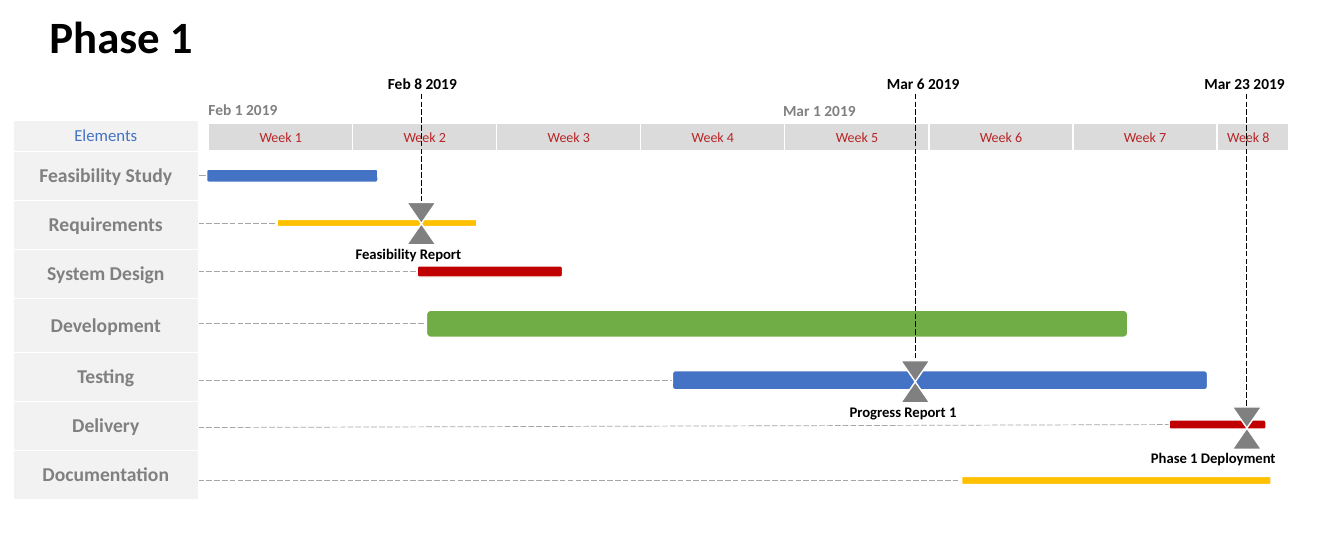
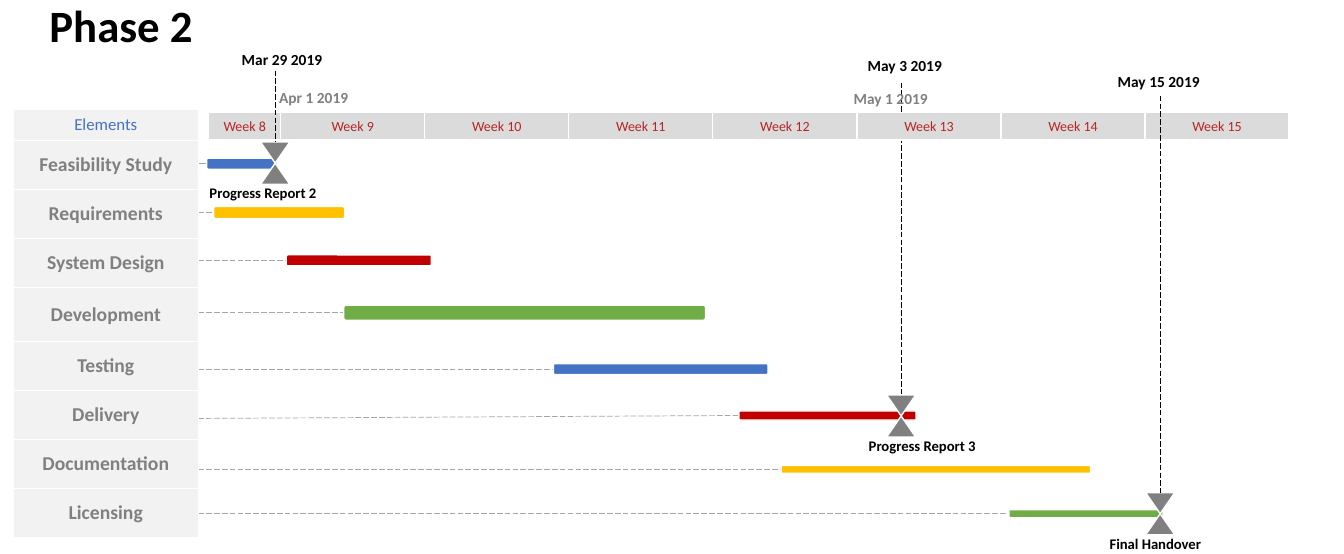
from pptx import Presentation
from pptx.dml.color import RGBColor
from pptx.enum.dml import MSO_LINE
from pptx.enum.shapes import MSO_CONNECTOR, MSO_SHAPE
from pptx.enum.text import MSO_ANCHOR, MSO_AUTO_SIZE, PP_ALIGN
from pptx.oxml import parse_xml
from pptx.oxml.ns import nsdecls
from pptx.util import Inches, Pt

BLUE, GOLD, RED, GREEN = "4472C4", "FFC000", "C00000", "70AD47"
GREY, BLACK, WHITE = "808080", "000000", "FFFFFF"
WEEK = 10.72 / 7.5
ROW = 35 / 72
SYMBOL_W, SYMBOL_H = 0.29, 0.42

ROWS = [
    ("Feasibility Study", ROW, 0, BLUE),
    ("Requirements", ROW, 0, GOLD),
    ("System Design", ROW, 0, RED),
    ("Development", 0.54, 0, GREEN),
    ("Testing", ROW, 0, BLUE),
    ("Delivery", ROW, 0.03, RED),
    ("Documentation", ROW, 0, GOLD),
    ("Licensing", ROW, 0, GREEN),
]

PHASES = [
    {
        "title": "Phase 1", "top": 1.20, "weeks": range(1, 9), "short": 8,
        "bars": [(2.05, 1.68, 1.70, 0.13), (2.75, 2.18, 1.98, 0.07),
                 (4.14, 2.64, 1.44, 0.11), (4.23, 3.08, 6.96, 0.27),
                 (6.67, 3.68, 5.31, 0.19), (11.60, 4.17, 0.96, 0.09),
                 (9.54, 4.73, 3.07, 0.08)],
        "months": [("Feb 1 2019", 1.97, 0.94), ("Mar 1 2019", 7.67, 0.95)],
        "milestones": [
            ("Feb 8 2019", 3.75, 0.69, "Feasibility Report", 3.43, 1.29, 4.18, 0.93, 2.01, False),
            ("Mar 6 2019", 8.70, 0.69, "Progress Report 1", 8.33, 1.29, 9.08, 0.93, 3.58, False),
            ("Mar 23 2019", 11.85, 0.69, "Phase 1 Deployment", 11.32, 1.49, 12.37, 0.93, 4.04, False)],
    },
    {
        "title": "Phase 2", "top": 1.09, "weeks": range(8, 16), "short": 8,
        "bars": [(2.05, 1.57, 0.70, 0.11), (2.12, 2.05, 1.30, 0.12),
                 (2.84, 2.53, 1.44, 0.11), (3.41, 3.03, 3.59, 0.15),
                 (5.49, 3.61, 2.13, 0.11), (7.33, 4.08, 1.76, 0.09),
                 (7.75, 4.62, 3.07, 0.08), (10.01, 5.06, 1.53, 0.08)],
        "months": [("Apr 1 2019", 2.67, 0.83), ("May 1 2019", 8.37, 0.84)],
        "milestones": [
            ("Mar 29 2019", 2.30, 0.45, "Progress Report 2", 1.98, 1.29, 2.73, 0.70, 1.41, False),
            ("May 3 2019", 8.51, 0.51, "Progress Report 3", 8.52, 1.29, 8.94, 0.82, 3.92, True),
            ("May 15 2019", 10.99, 0.67, "Final Handover", 10.91, 1.20, 11.51, 0.95, 4.89, False)],
    },
]


def rgb(value):
    return RGBColor.from_string(value)


class Gantt:
    font = "Calibri"

    def __init__(self, prs):
        self.prs = prs
        self.s = None

    def format(self, p, size, color, bold=True, align=PP_ALIGN.LEFT):
        p.alignment = align
        for r in p.runs:
            r.font.name = self.font
            r.font.size = Pt(size)
            r.font.bold = bold
            r.font.color.rgb = rgb(color)

    def new_slide(self, title, y):
        self.s = self.prs.slides.add_slide(self.prs.slide_layouts[5])
        sp = self.s.shapes.title
        sp.left, sp.top, sp.width, sp.height = map(Inches, (0.39, y, 1.97, 0.61))
        tf = sp.text_frame
        tf.text = title
        tf.auto_size = MSO_AUTO_SIZE.NONE
        tf.vertical_anchor = MSO_ANCHOR.MIDDLE
        p = tf.paragraphs[0]
        p.line_spacing = 0.9
        p.space_before = Pt(10)
        self.format(p, 32, BLACK)

    def text(self, text, x, y, w, size, color):
        sp = self.s.shapes.add_textbox(Inches(x), Inches(y), Inches(w), Inches(0.29))
        tf = sp.text_frame
        tf.word_wrap = True
        tf.text = text
        self.format(tf.paragraphs[0], size, color)

    def line(self, x1, y1, x2, y2, color, dashed=True):
        c = self.s.shapes.add_connector(
            MSO_CONNECTOR.STRAIGHT, Inches(x1), Inches(y1), Inches(x2), Inches(y2))
        c.line.color.rgb = rgb(color)
        c.line.width = Pt(0.5)
        if dashed:
            c.line.dash_style = MSO_LINE.LONG_DASH
        c._element.spPr.append(parse_xml(f"<a:effectLst {nsdecls('a')}/>"))

    def shape(self, kind, x, y, w, h, color):
        sp = self.s.shapes.add_shape(kind, Inches(x), Inches(y), Inches(w), Inches(h))
        sp.shadow.inherit = False
        sp.fill.solid()
        sp.fill.fore_color.rgb = rgb(color)
        sp.line.color.rgb = rgb(WHITE)
        sp.line.width = Pt(1)

    def table(self, x, y, widths, heights):
        frame = self.s.shapes.add_table(
            len(heights), len(widths), Inches(x), Inches(y),
            Inches(sum(widths)), Inches(sum(heights)))
        table = frame.table
        for column, width in zip(table.columns, widths):
            column.width = Inches(width)
        for row, height in zip(table.rows, heights):
            row.height = Inches(height)
        return table

    def cell(self, cell, text, size, color, fill, bold=False,
             anchor=MSO_ANCHOR.TOP, align=PP_ALIGN.CENTER):
        cell.text = text
        cell.fill.solid()
        cell.fill.fore_color.rgb = rgb(fill)
        cell.vertical_anchor = anchor
        self.format(cell.text_frame.paragraphs[0], size, color, bold, align)

    def weeks(self, top, weeks, short):
        widths = [WEEK / 2 if week == short else WEEK for week in weeks]
        table = self.table(2.07, top + 0.03, widths, [0.27])
        for i, week in enumerate(weeks):
            align = PP_ALIGN.LEFT if i and week == short else PP_ALIGN.CENTER
            self.cell(table.cell(0, i), f"Week {week}", 10, "B62525", "DBDBDB", align=align)

    def elements(self, top, rows):
        table = self.table(0.13, top, [1.84], [0.3] + [row[1] for row in rows])
        self.cell(table.cell(0, 0), "Elements", 12, BLUE, "F2F2F2")
        for i, row in enumerate(rows, 1):
            self.cell(table.cell(i, 0), row[0], 14, GREY, "F2F2F2", True, MSO_ANCHOR.MIDDLE)

    def milestone(self, date, date_x, date_y, label, label_x, label_w, x, line_y, y, behind):
        self.shape(MSO_SHAPE.FLOWCHART_COLLATE, x - SYMBOL_W / 2, y, SYMBOL_W, SYMBOL_H, GREY)
        self.text(label, label_x, y + 0.37, label_w, 10.5, BLACK)
        if not behind:
            self.line(x, line_y, x, y, BLACK)
        self.text(date, date_x, date_y, 1.06, 11, BLACK)

    def phase(self, title, top, weeks, short, bars, months, milestones):
        self.new_slide(title, top - 1.12)
        rows = ROWS[:len(bars)]
        for *_, x, line_y, y, behind in milestones:
            if behind:
                self.line(x, line_y, x, y, BLACK)
        for i, ((_, _, drop, _), (x, y, _, h)) in enumerate(zip(rows, bars)):
            middle = y + h / 2
            self.line(1.89, middle + drop, x, middle, "A6A6A6", i > 0)
        self.weeks(top, weeks, short)
        self.elements(top, rows)
        for row, bar in zip(rows, bars):
            self.shape(MSO_SHAPE.ROUNDED_RECTANGLE, *bar, row[3])
        for month, x, y in months:
            self.text(month, x, y, 1.06, 11, GREY)
        for milestone in milestones:
            self.milestone(*milestone)


prs = Presentation()
prs.slide_width = Inches(40 / 3)
prs.slide_height = Inches(5.5)
gantt = Gantt(prs)
for phase in PHASES:
    gantt.phase(**phase)
prs.save("out.pptx")
